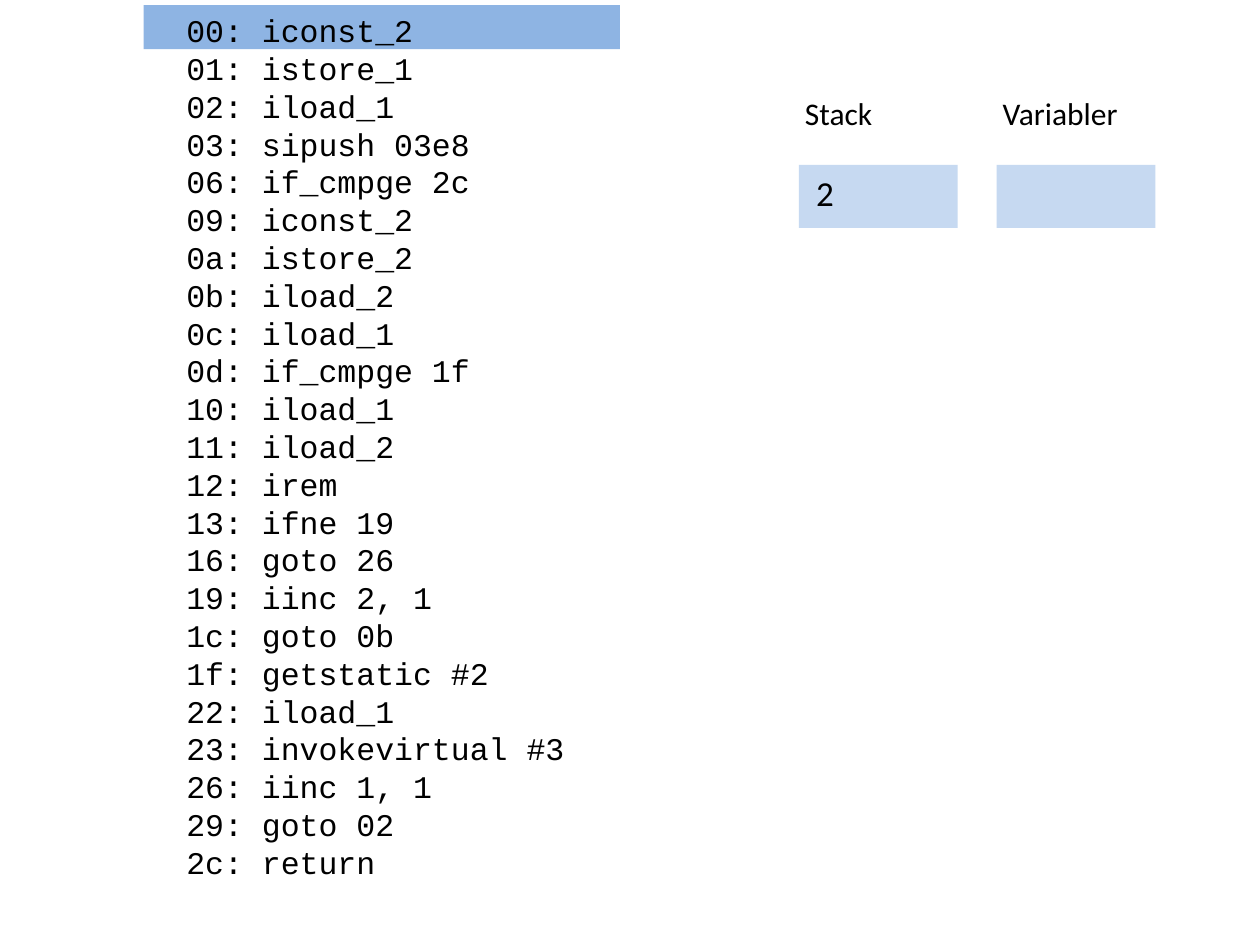
"""Build a slide showing bytecode beside its stack and variables."""
from pptx import Presentation
from pptx.dml.color import RGBColor
from pptx.enum.shapes import MSO_SHAPE as Shape
from pptx.util import Inches, Pt

INSTRUCTIONS = [
    "00: iconst_2", "01: istore_1", "02: iload_1", "03: sipush 03e8",
    "06: if_cmpge 2c", "09: iconst_2", "0a: istore_2", "0b: iload_2",
    "0c: iload_1", "0d: if_cmpge 1f", "10: iload_1", "11: iload_2",
    "12: irem", "13: ifne 19", "16: goto 26", "19: iinc 2, 1",
    "1c: goto 0b", "1f: getstatic #2", "22: iload_1",
    "23: invokevirtual #3", "26: iinc 1, 1", "29: goto 02", "2c: return",
]
MEMORY = [("Stack", 0.8, "2"), ("Variabler", 1.18, "")]
CODE_TOP = 0.04
MEMORY_LEFT, MEMORY_STEP = 6.34, 1.57
LABEL_TOP, CELL_TOP = 0.7, 1.31


def color(code):
    return RGBColor.from_string(code)


def add_block(slide, left, top, width, height, fill):
    block = slide.shapes.add_shape(
        Shape.RECTANGLE, Inches(left), Inches(top), Inches(width), Inches(height))
    block.shadow.inherit = False
    block.fill.solid()
    block.fill.fore_color.rgb = color(fill)
    block.line.fill.background()


def add_text(slide, left, top, width, height, lines, size=18, font="Calibri"):
    frame = slide.shapes.add_textbox(
        Inches(left), Inches(top), Inches(width), Inches(height)).text_frame
    frame.word_wrap = True
    for number, line in enumerate(lines):
        paragraph = frame.add_paragraph() if number else frame.paragraphs[0]
        run = paragraph.add_run()
        run.text = line
        run.font.size = Pt(size)
        run.font.name = font
        run.font.color.rgb = color("000000")


def main():
    deck = Presentation()
    deck.slide_width, deck.slide_height = Inches(10), Inches(7.5)
    slide = deck.slides.add_slide(deck.slide_layouts[6])

    add_block(slide, 1.14, CODE_TOP, 3.78, 0.35, "8EB4E3")
    add_text(slide, 1.38, CODE_TOP, 3.31, 7, INSTRUCTIONS, font="Courier New")

    for column, (label, label_width, value) in enumerate(MEMORY):
        left = MEMORY_LEFT + column * MEMORY_STEP
        add_block(slide, left, CELL_TOP, 1.26, 0.5, "C6D9F1")
        add_text(slide, left - 0.05, LABEL_TOP, label_width, 0.4, [label])
        if value:
            add_text(slide, left + 0.04, CELL_TOP, 0.4, 0.43, [value], size=20)

    deck.save("out.pptx")


if __name__ == "__main__":
    main()
